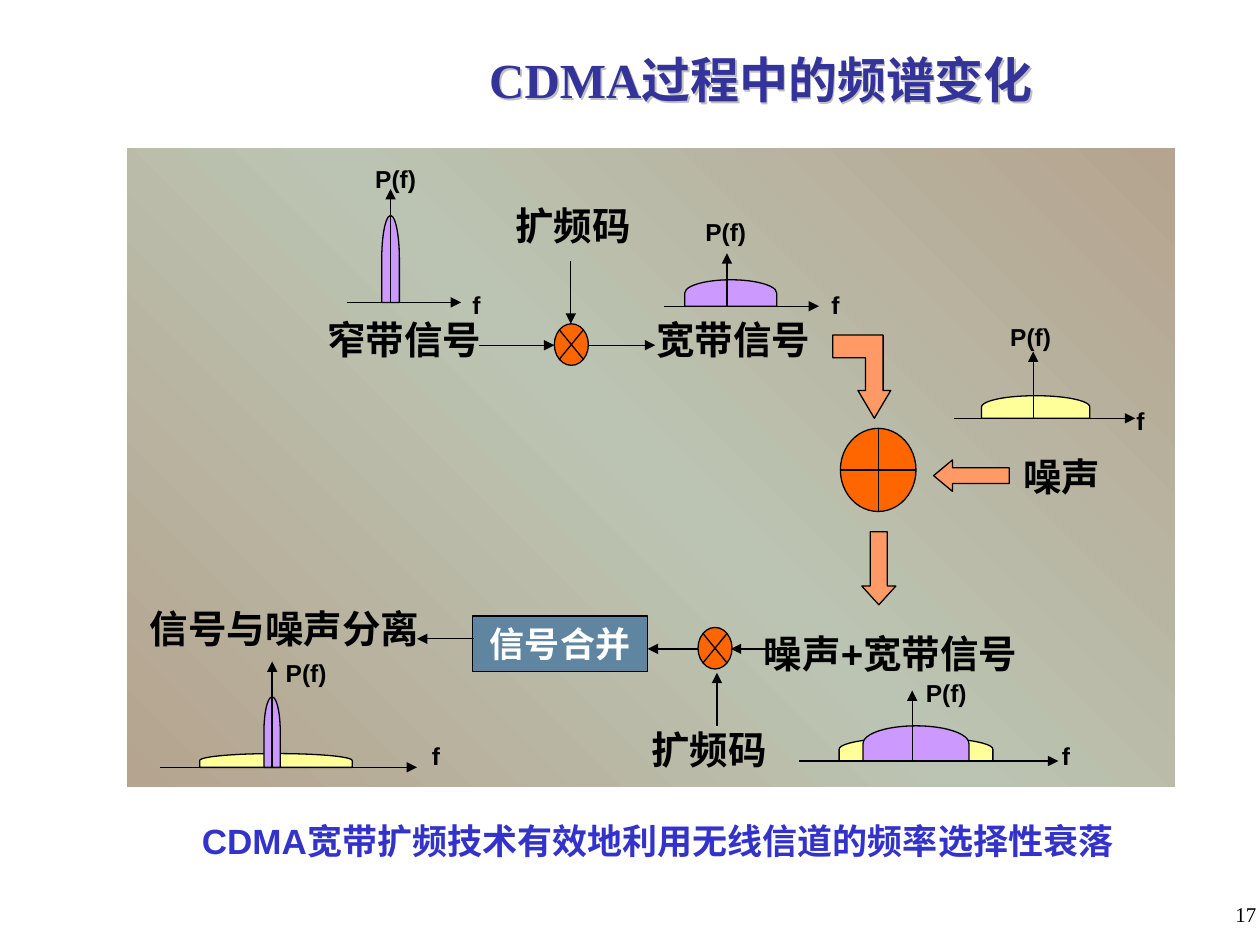
"""Build a slide on how the spectrum changes through the CDMA process."""
from copy import deepcopy
from dataclasses import dataclass
from typing import NamedTuple

from lxml import etree
from pptx import Presentation
from pptx import util as u
from pptx.dml.color import RGBColor
from pptx.enum import shapes, text
from pptx.oxml import ns

KIND = shapes.MSO_SHAPE
COLS, ROWS = 100, 75


@dataclass(frozen=True)
class Theme:
    ink: str = "000000"
    white: str = "FFFFFF"
    title: str = "333399"
    shade: str = "C0C0C0"
    note: str = "3333CC"
    edge: str = "B5A48F"
    core: str = "BBC4B2"
    signal: str = "CC99FF"
    noise: str = "FFFF99"
    node: str = "FF6600"
    arrow: str = "FF9966"
    box: str = "5F85A1"
    sans: str = "Arial"
    serif: str = "Times New Roman"
    head: int = 28
    term: int = 22
    body: int = 20
    small: int = 14
    page: int = 12
    line: float = 0.75


class Box(NamedTuple):
    x: float
    y: float
    w: float
    h: float


class Hump(NamedTuple):
    mid: float
    w: float
    h: float
    fill: str


class Plot(NamedTuple):
    left: float
    right: float
    base: float
    peak: float
    top: float
    humps: tuple
    power: tuple
    freq: tuple


T = Theme()
deck = Presentation()
deck.slide_width, deck.slide_height = u.Inches(10), u.Inches(7.5)
slide = deck.slides.add_slide(deck.slide_layouts[5])


def grid(*cells: float) -> list:
    """Turn grid cells into slide lengths."""
    return [u.Emu(round(c * deck.slide_width / COLS)) for c in cells]


def write(frame, words: str, size: int = T.term, color: str = T.ink,
          font: str = T.sans, bold: bool = True, align=text.PP_ALIGN.CENTER,
          anchor=text.MSO_ANCHOR.MIDDLE, wrap: bool = False, fit: bool = True) -> None:
    """Fill a text frame with one formatted run."""
    rule = text.MSO_AUTO_SIZE
    frame.word_wrap = wrap
    frame.auto_size = rule.SHAPE_TO_FIT_TEXT if fit else rule.NONE
    frame.vertical_anchor = anchor
    para = frame.paragraphs[0]
    para.alignment = align
    run = para.add_run()
    run.text = words
    run.font.size, run.font.bold = u.Pt(size), bold
    run.font.color.rgb = RGBColor.from_string(color)
    run.font.name = font


def label(words: str, box: Box, **fmt) -> None:
    """Add a text box."""
    write(slide.shapes.add_textbox(*grid(*box)).text_frame, words, **fmt)


def paint(shape, fill: str, line: str = T.ink):
    """Give a shape a flat fill and a thin outline."""
    shape.shadow.inherit = False
    shape.fill.solid()
    shape.fill.fore_color.rgb = RGBColor.from_string(fill)
    shape.line.color.rgb = RGBColor.from_string(line)
    shape.line.width = u.Pt(T.line)
    return shape


def draw(kind, box: Box, fill: str, line: str = T.ink, turn: int = 0, adj: tuple = ()):
    """Add a preset shape."""
    shape = paint(slide.shapes.add_shape(kind, *grid(*box)), fill, line)
    shape.rotation = turn
    for i, value in enumerate(adj):
        shape.adjustments[i] = value
    return shape


def arrow(x1: float, y1: float, x2: float, y2: float) -> None:
    """Add a thin line with an arrowhead at its end."""
    line = slide.shapes.add_connector(shapes.MSO_CONNECTOR.STRAIGHT, *grid(x1, y1, x2, y2))
    line.line.color.rgb = RGBColor.from_string(T.ink)
    line.line.width = u.Pt(T.line)
    etree.SubElement(line.line._get_or_add_ln(), ns.qn("a:tailEnd"), type="triangle")
    etree.SubElement(line._element.spPr, ns.qn("a:effectLst"))


def chart(plot: Plot) -> None:
    """Draw a spectrum sketch with its axes and axis names."""
    for mid, w, h, fill in plot.humps:
        box = Box(mid - h / 2, plot.base - h / 2 - w / 2, h, w)
        draw(KIND.FLOWCHART_DELAY, box, fill, turn=270)
    arrow(plot.left, plot.base, plot.right, plot.base)
    arrow(plot.peak, plot.base, plot.peak, plot.top)
    label("P(f)", Box(*plot.power, 5.8, 3.4), size=T.small)
    label("f", Box(*plot.freq, 2.6, 3.4), size=T.small)


def panel(box: Box, *colors: str) -> None:
    """Draw the backdrop with an even diagonal gradient."""
    shape = draw(KIND.RECTANGLE, box, T.core, T.white)
    shape.fill.gradient()
    shape.fill.gradient_angle = 225
    stops = shape._element.spPr.find(ns.qn("a:gradFill")).find(ns.qn("a:gsLst"))
    stops.append(deepcopy(stops[0]))
    for i, (stop, color) in enumerate(zip(shape.fill.gradient_stops, colors)):
        stop.position = i / (len(colors) - 1)
        stop.color.rgb = RGBColor.from_string(color)


def heading(words: str, box: Box) -> None:
    """Fill the title placeholder and give it a soft shadow."""
    title = slide.shapes.title
    title.left, title.top, title.width, title.height = grid(*box)
    write(title.text_frame, words, size=T.head, color=T.title,
          font=T.serif, wrap=True, fit=False)
    effect = etree.SubElement(title._element.spPr, ns.qn("a:effectLst"))
    shade = etree.SubElement(effect, ns.qn("a:outerShdw"), dist="18000", dir="2700000")
    etree.SubElement(shade, ns.qn("a:srgbClr"), val=T.shade)


PLOTS = (
    Plot(27.5, 36.6, 24, 31, 15, (Hump(31, 1.4, 6.9, T.signal),), (28.5, 12.5), (36.5, 22.5)),
    Plot(52.7, 65, 24.3, 57.7, 20.1, (Hump(58, 7.3, 2.1, T.signal),), (54.7, 16.7), (65, 22.5)),
    Plot(75.7, 90.1, 33.2, 82, 27.9, (Hump(82.2, 8.6, 1.8, T.noise),), (78.9, 25), (89.2, 31.7)),
    Plot(63.4, 84, 60.4, 72.4, 54.8,
         (Hump(72.7, 12.2, 1.9, T.noise), Hump(72.7, 8.4, 2.8, T.signal)),
         (72.2, 53.3), (83.3, 58.3)),
    Plot(12.7, 33.1, 60.9, 21.6, 52.5,
         (Hump(21.9, 12.1, 1.1, T.noise), Hump(21.6, 1.3, 5.6, T.signal)),
         (21.4, 51.7), (33.3, 58.3)),
)
TERMS = (
    ("扩频码", 39.3, 15.5), ("扩频码", 50.1, 57.1), ("窄带信号", 24.4, 24.6),
    ("宽带信号", 50.5, 24.6), ("噪声", 79.6, 35.4), ("噪声+宽带信号", 58.4, 49.5),
    ("信号与噪声分离", 10.3, 47.5),
)
FLOWS = (
    (38, 27.4, 44, 27.4), (45.3, 20.7, 45.3, 25.7), (46.7, 27.4, 52, 27.4),
    (62.7, 51.5, 58, 51.5), (56.9, 57.6, 56.9, 53.4), (55.4, 51.5, 51.4, 51.5),
    (37.6, 50.7, 33.1, 50.7),
)
BEND = ((66.1, 28.4), (68.7, 28.4), (68.7, 31), (68.1, 31), (69.4, 33.2),
        (70.7, 31), (70.1, 31), (70.1, 26.6), (66.1, 26.6))

heading("CDMA过程中的频谱变化", Box(20.8, 2.5, 79.2, 7.5))
panel(Box(10, 11.7, 83.3, 50.8), T.edge, T.core, T.edge)
for x, y in ((44, 25.7), (55.4, 49.8)):
    draw(KIND.FLOWCHART_SUMMING_JUNCTION, Box(x, y, 2.7, 3.3), T.node)
draw(KIND.FLOWCHART_OR, Box(66.7, 34, 6, 6.6), T.node)
draw(KIND.DOWN_ARROW, Box(68.4, 42.2, 2.7, 5.8), T.arrow, adj=(0.5, 0.55))
draw(KIND.LEFT_ARROW, Box(74.1, 36.5, 6, 2.5), T.arrow, adj=(0.5, 0.6))
path = slide.shapes.build_freeform(*grid(*BEND[0]))
path.add_line_segments([grid(*spot) for spot in BEND[1:]], close=True)
paint(path.convert_to_shape(), T.arrow)
merge = draw(KIND.RECTANGLE, Box(37.5, 48.9, 13.9, 4.4), T.box)
write(merge.text_frame, "信号合并", size=T.body, color=T.white, wrap=True)
for flow in FLOWS:
    arrow(*flow)
for plot in PLOTS:
    chart(plot)
for words, x, y in TERMS:
    label(words, Box(x, y, 3.2 + 3.05 * len(words), 4.7))
label("CDMA宽带扩频技术有效地利用无线信道的频率选择性衰落",
      Box(14.7, 64.5, 75, 4.4), size=T.body, color=T.note)
label("17", Box(COLS - 20.1, ROWS - 3.9, 20.8, 5), size=T.page, font=T.serif, bold=False,
      align=text.PP_ALIGN.RIGHT, anchor=text.MSO_ANCHOR.TOP, wrap=True, fit=False)
deck.save("out.pptx")
